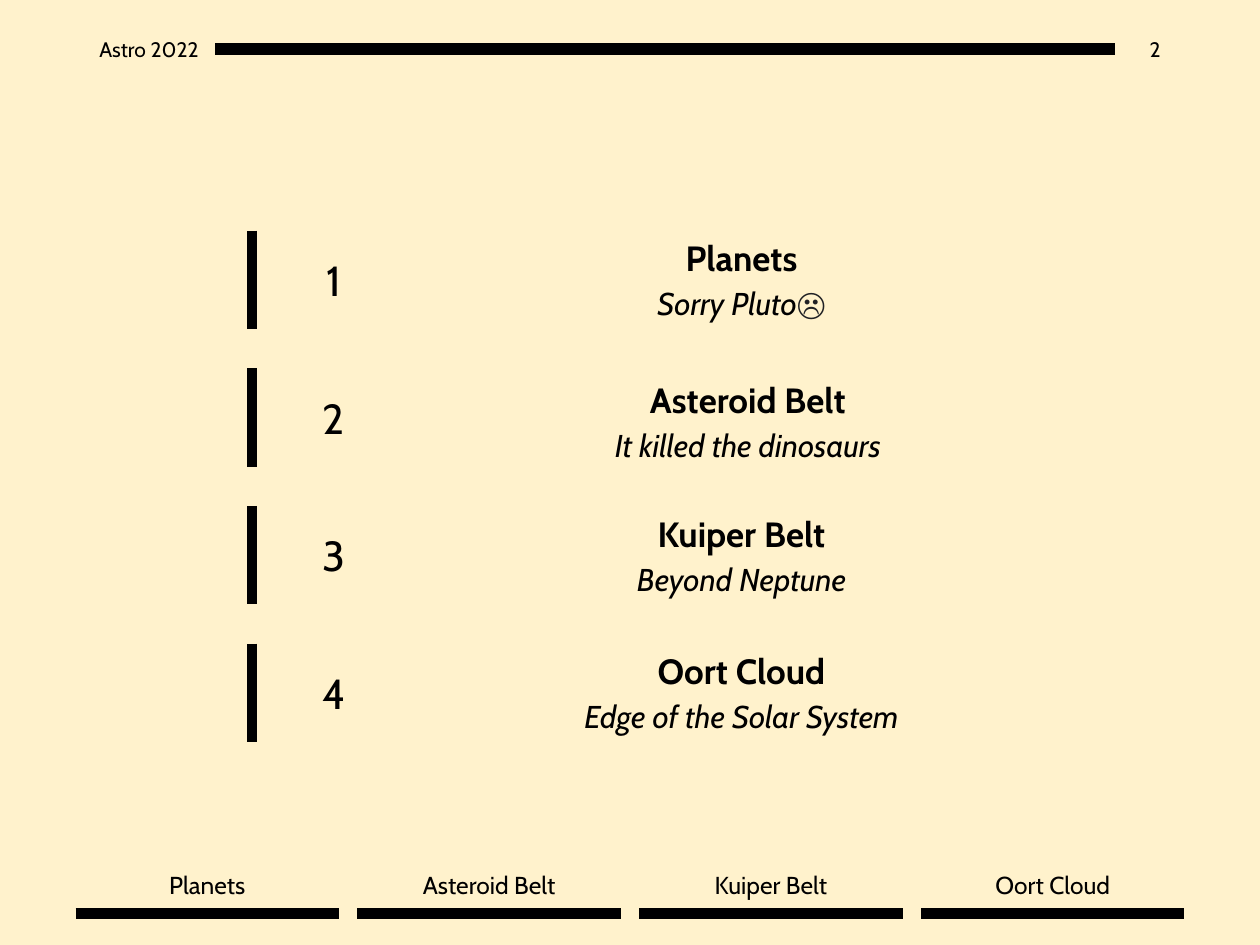
from pptx import Presentation
from pptx.dml.color import RGBColor
from pptx.enum.shapes import MSO_CONNECTOR
from pptx.enum.text import MSO_ANCHOR, PP_ALIGN
from pptx.oxml.ns import qn
from pptx.util import Inches, Pt

STRAIGHT = MSO_CONNECTOR.STRAIGHT
TOP, MIDDLE = MSO_ANCHOR.TOP, MSO_ANCHOR.MIDDLE
LEFT, CENTER, RIGHT = PP_ALIGN.LEFT, PP_ALIGN.CENTER, PP_ALIGN.RIGHT
INK, PAPER, FACE_GREY = "000000", "FFF2CC", "202124"


def color(value):
    """Turn a hex string into a colour."""
    return RGBColor.from_string(value)


class SlideWriter:
    """Hold the style and the current slide."""

    font = "Cabin"

    def __init__(self, slide):
        """Start on a slide and paint its background."""
        self.slide = slide
        slide.background.fill.solid()
        slide.background.fill.fore_color.rgb = color(PAPER)

    def bar(self, x1, y1, x2, y2, weight):
        """Draw a thick straight line."""
        line = self.slide.shapes.add_connector(
            STRAIGHT, Inches(x1), Inches(y1), Inches(x2), Inches(y2))
        line.line.color.rgb = color(INK)
        line.line.width = Pt(weight)
        properties = line._element.spPr
        properties.append(properties.makeelement(qn("a:effectLst"), {}))

    def span(self, para, text, size, bold=False, italic=False, font=None, ink=INK):
        """Add one run of text."""
        span = para.add_run()
        span.text = text
        span.font.name = font or self.font
        span.font.size = Pt(size)
        span.font.bold = bold
        span.font.italic = italic
        span.font.color.rgb = color(ink)

    def box(self, left, top, width, height, align, anchor=TOP, wrap=True):
        """Add a text box and return its text frame."""
        shape = self.slide.shapes.add_textbox(
            Inches(left), Inches(top), Inches(width), Inches(height))
        frame = shape.text_frame
        frame.word_wrap = wrap
        frame.vertical_anchor = anchor
        frame.paragraphs[0].alignment = align
        return frame

    def label(self, text, size, left, top, width, height, align, anchor=TOP):
        """Add a label of one line."""
        frame = self.box(left, top, width, height, align, anchor, wrap=False)
        self.span(frame.paragraphs[0], text, size)

    def topic(self, title, subtitle, face, left, top):
        """Add a bold title with an italic line beneath it."""
        frame = self.box(left, top, 5.29, 0.78, CENTER)
        self.span(frame.paragraphs[0], title, 20, bold=True)
        para = frame.add_paragraph()
        para.alignment = CENTER
        para.space_before = Pt(3)
        self.span(para, subtitle, 18, italic=True)
        if face:
            self.span(para, face, 18, bold=True, font="Arial", ink=FACE_GREY)


def main():
    """Build the agenda slide."""
    deck = Presentation()
    deck.slide_width, deck.slide_height = Inches(10), Inches(7.5)
    page = SlideWriter(deck.slides.add_slide(deck.slide_layouts[6]))

    page.label("Astro 2022", 12, 0.69, 0.19, 1.02, 0.4, LEFT, MIDDLE)
    page.bar(1.71, 0.39, 8.85, 0.39, 7)
    page.label("2", 12, 8.85, 0.19, 0.46, 0.4, RIGHT, MIDDLE)

    topics = [
        ("Planets", "Sorry Pluto", "☹", 0, 0),
        ("Asteroid Belt", "It killed the dinosaurs", "", 0.05, 0.03),
        ("Kuiper Belt", "Beyond Neptune", "", 0, 0),
        ("Oort Cloud", "Edge of the Solar System", "", 0, 0),
    ]
    row_pitch, tab_pitch, tab_width = 1.093, 2.237, 2.09
    for index, (title, subtitle, face, shift_x, shift_y) in enumerate(topics):
        top = 1.83 + index * row_pitch
        page.bar(2, top, 2, top + 0.78, 6)
        page.label(str(index + 1), 24, 2.46, top + 0.14, 0.38, 0.5, CENTER)
        page.topic(title, subtitle, face, 3.24 + shift_x, top + shift_y)

        tab_left = 0.6 + index * tab_pitch
        page.label(title, 14, tab_left, 6.86, tab_width, 0.34, CENTER)
        page.bar(tab_left, 7.25, tab_left + tab_width, 7.25, 6)

    deck.save("out.pptx")


if __name__ == "__main__":
    main()
